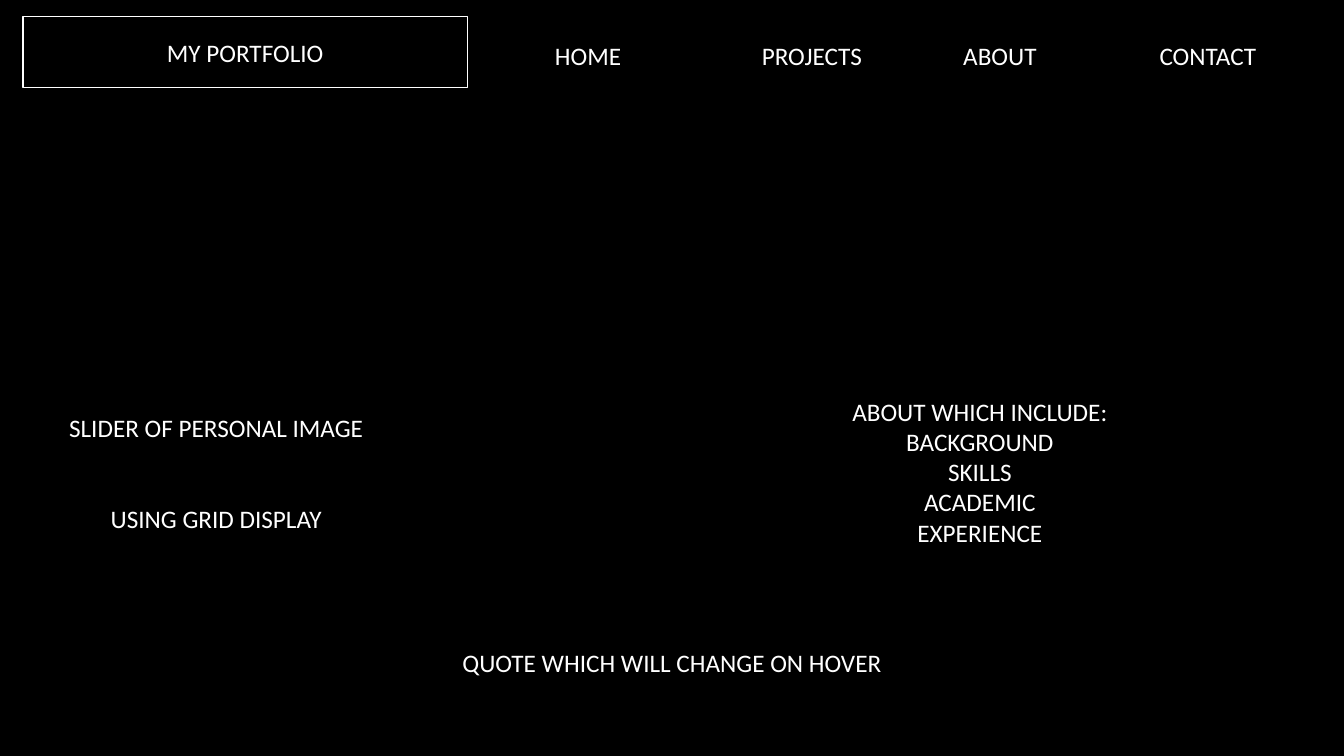
import pptx
import pptx.util
import pptx.dml.color
import pptx.enum.shapes
import pptx.enum.text
import lxml.etree

Cm = pptx.util.Cm
Pt = pptx.util.Pt
WIDE = 33.87
HIGH = 19.05
BLACK = "000000"
WHITE = "FFFFFF"


def paint(fill, tint):
    fill.solid()
    fill.fore_color.rgb = pptx.dml.color.RGBColor.from_string(tint)


def place(shape, left, top, width, height):
    shape.left, shape.top = Cm(left), Cm(top)
    shape.width, shape.height = Cm(width), Cm(height)


def style(shape, edge):
    paint(shape.fill, BLACK)
    paint(shape.line.fill, edge)
    shape.line.width = Pt(1)


def write(shape, lines, gap=0, align=pptx.enum.text.PP_ALIGN.CENTER):
    frame = shape.text_frame
    frame.word_wrap = True
    frame.auto_size = pptx.enum.text.MSO_AUTO_SIZE.NONE
    frame.vertical_anchor = pptx.enum.text.MSO_ANCHOR.MIDDLE
    for row, line in enumerate(lines):
        para = frame.add_paragraph() if row else frame.paragraphs[0]
        para.alignment = align
        para.line_spacing = 1.0
        para.space_before = Pt(gap if row else 0)
        run = para.add_run()
        run.text = line
        run.font.name = "Calibri"
        run.font.size = Pt(18)
        paint(run.font.fill, WHITE)


def add_child(node, tag, **attrs):
    name = pptx.oxml.ns.qn("a:" + tag)
    return lxml.etree.SubElement(node, name, **attrs)


def add_panel(slide, lines, box, gap=0):
    kind = pptx.enum.shapes.MSO_SHAPE.RECTANGLE
    panel = slide.shapes.add_shape(kind, *map(Cm, box))
    panel.shadow.inherit = False
    style(panel, BLACK)
    write(panel, lines, gap)


def add_menu(slide, items, box):
    menu = slide.shapes.add_textbox(*map(Cm, box))
    line = "".join("\t" + name for name, stop in items)
    write(menu, [line], align=pptx.enum.text.PP_ALIGN.LEFT)
    props = menu.text_frame.paragraphs[0]._p.get_or_add_pPr()
    tabs = add_child(props, "tabLst")
    for name, stop in items:
        add_child(tabs, "tab", pos=str(Cm(stop)), algn="ctr")


def fill_title(slide, text, box):
    title = slide.shapes.title
    place(title, *box)
    style(title, WHITE)
    write(title, [text])


def fill_list(slide, lines, box):
    body = slide.placeholders[1]
    place(body, *box)
    style(body, BLACK)
    write(body, lines)
    for para in body.text_frame.paragraphs:
        props = para._p.get_or_add_pPr()
        props.set("marL", "0")
        props.set("indent", "0")
        add_child(props, "buNone")


def main():
    deck = pptx.Presentation()
    deck.slide_width, deck.slide_height = Cm(WIDE), Cm(HIGH)
    slide = deck.slides.add_slide(deck.slide_layouts[1])
    paint(slide.background.fill, BLACK)

    fill_title(slide, "MY PORTFOLIO", (0.58, 0.41, 11.2, 1.8))
    about = ["ABOUT WHICH INCLUDE:", "BACKGROUND", "SKILLS",
             "ACADEMIC", "EXPERIENCE"]
    fill_list(slide, about, (15.54, 4.72, 18.31, 14.33))
    items = [("HOME", 2.78), ("PROJECTS", 8.42),
             ("ABOUT", 13.16), ("CONTACT", 18.4)]
    add_menu(slide, items, (11.79, 0, 22.08, 2.77))
    slider = ["SLIDER OF PERSONAL IMAGE", "USING GRID DISPLAY"]
    add_panel(slide, slider, (0, 4.78, 10.9, 14.27), gap=43)
    quote = ["QUOTE WHICH WILL CHANGE ON HOVER"]
    add_panel(slide, quote, (0, 14.33, WIDE, 4.72))
    deck.save("out.pptx")


if __name__ == "__main__":
    main()
